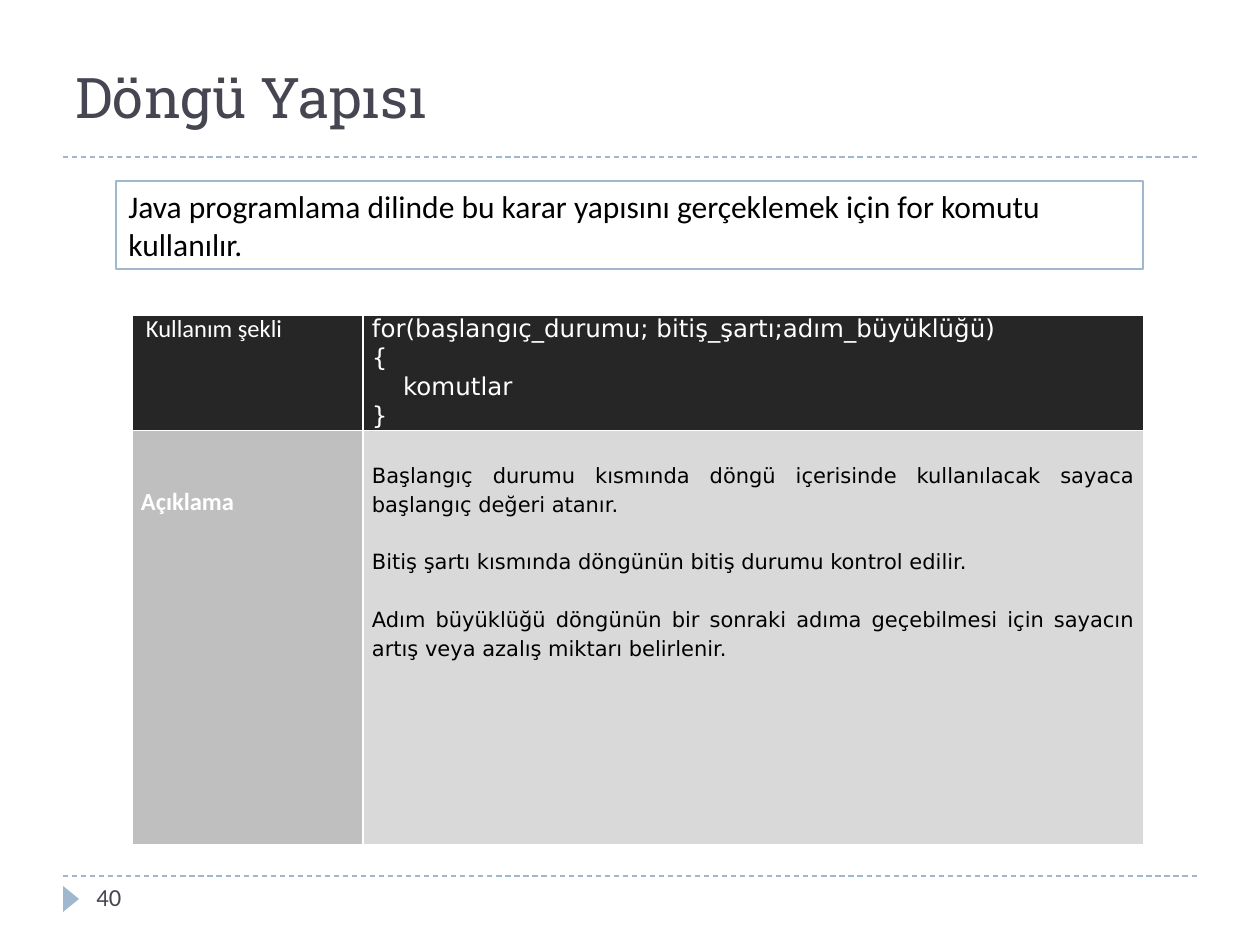
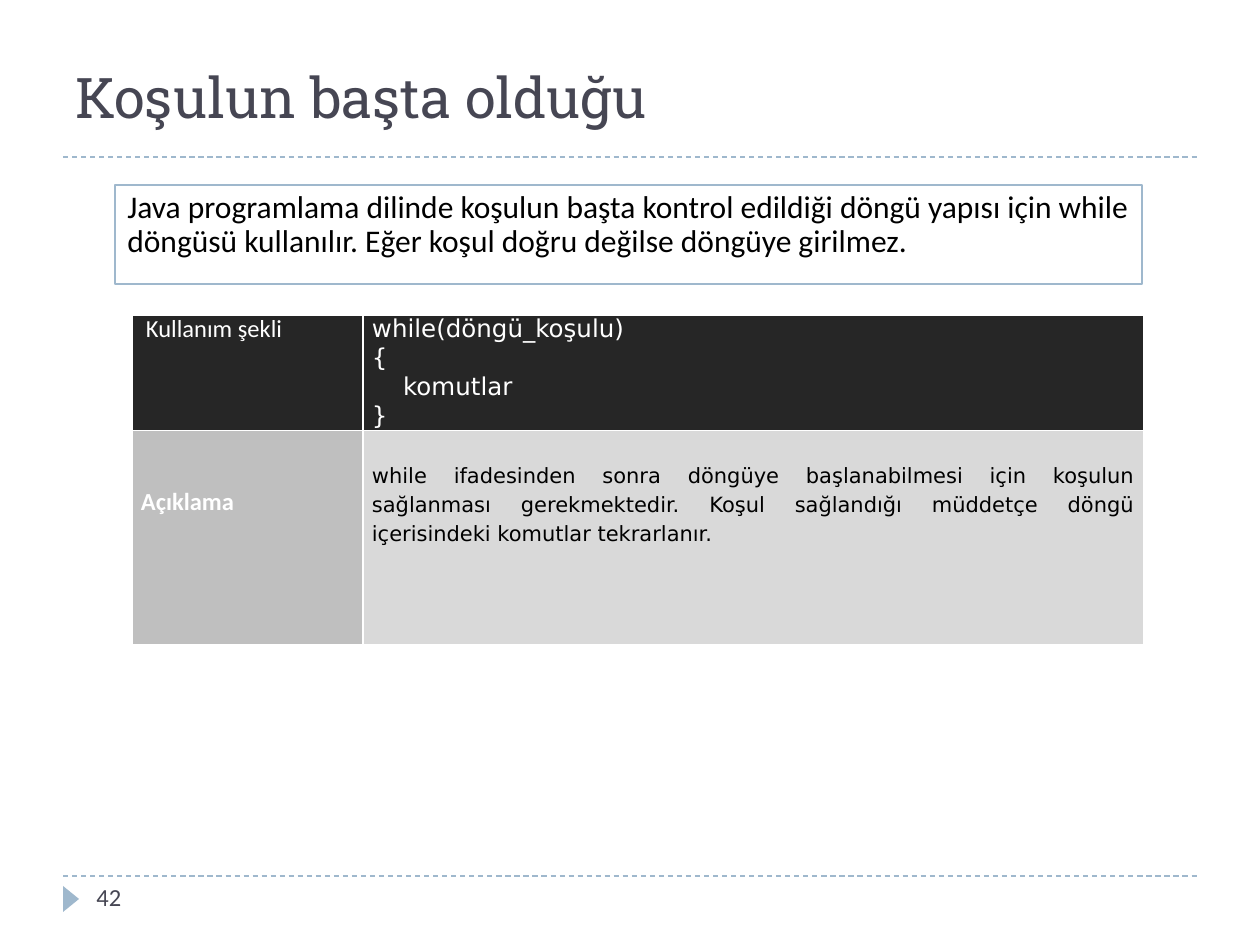
from lxml.etree import SubElement
from pptx import Presentation
from pptx.dml.color import RGBColor
from pptx.enum.dml import MSO_LINE
from pptx.enum.shapes import MSO_CONNECTOR, MSO_SHAPE
from pptx.enum.text import MSO_ANCHOR, MSO_AUTO_SIZE, PP_ALIGN
from pptx.oxml.ns import qn
from pptx.util import Emu, Pt

EMU_PER_PX = 914400 / 126
COLORS = {
    "accent": "9FB8CD",
    "heading": "464653",
    "white": "FFFFFF",
    "black": "000000",
    "usage": "262626",
    "label": "BFBFBF",
    "description": "D9D9D9",
}
FONTS = {
    "title": {"name": "Roboto Slab", "size": Pt(32), "bold": False},
    "number": {"name": "Calibri", "size": Pt(14)},
    "summary": {"name": "Calibri", "size": Pt(18)},
    "usage_label": {"name": "Calibri", "size": Pt(14), "bold": False},
    "description_label": {"name": "Calibri", "size": Pt(14), "bold": True},
    "code": {"name": "DejaVu Sans", "size": Pt(14), "bold": False},
    "description": {"name": "DejaVu Sans", "size": Pt(12), "bold": False},
}
TITLE_BOX = (63, 63, 1134, 73)
RULE_LEFT, RULE_RIGHT = 63, 1197
TITLE_RULE_Y, FOOTER_RULE_Y = 157, 876
TABLE_LEFT, TABLE_TOP = 132, 315
COLUMN_WIDTHS = (231, 781)
USAGE_HEIGHT = 115
CELL_INSET = 9
LINE_HEIGHT = Pt(16.5)
LINE_PX = 29


def px(length):
    return Emu(round(length * EMU_PER_PX))


def box(*lengths):
    return [px(length) for length in lengths]


def color(key):
    return RGBColor.from_string(COLORS[key])


def set_values(target, values):
    for name, value in values.items():
        setattr(target, name, value)


def write(frame, lines, font, font_color, **paragraph_values):
    """Fill a text frame with one paragraph per line."""
    frame.text = "\n".join(lines)
    for paragraph in frame.paragraphs:
        set_values(paragraph, paragraph_values)
        set_values(paragraph.font, FONTS[font])
        paragraph.font.color.rgb = color(font_color)


def add_rule(slide, y):
    rule = slide.shapes.add_connector(
        MSO_CONNECTOR.STRAIGHT, *box(RULE_LEFT, y, RULE_RIGHT, y))
    set_values(rule.line, {"width": Pt(0.75), "dash_style": MSO_LINE.DASH})
    rule.line.color.rgb = color("accent")
    SubElement(rule._element.spPr, qn("a:effectLst"))


def add_title(slide, title_text):
    title = slide.shapes.title
    left, top, width, height = box(*TITLE_BOX)
    set_values(title, {"left": left, "top": top, "width": width, "height": height})
    set_values(title.text_frame, {
        "auto_size": MSO_AUTO_SIZE.NONE, "vertical_anchor": MSO_ANCHOR.BOTTOM})
    write(title.text_frame, [title_text], "title", "heading", alignment=PP_ALIGN.LEFT)
    add_rule(slide, TITLE_RULE_Y)


def add_footer(slide, number):
    add_rule(slide, FOOTER_RULE_Y)
    marker = slide.shapes.add_shape(
        MSO_SHAPE.ISOSCELES_TRIANGLE, *box(58, FOOTER_RULE_Y + 15, 26, 16))
    marker.rotation = 90
    marker.shadow.inherit = False
    marker.fill.solid()
    marker.fill.fore_color.rgb = color("accent")
    marker.line.fill.background()
    number_box = slide.shapes.add_textbox(*box(84, FOOTER_RULE_Y, 273, 50))
    number_box.text_frame.word_wrap = True
    write(number_box.text_frame, [str(number)], "number", "heading")


def add_summary(slide, summary, bounds, line_spacing):
    panel = slide.shapes.add_shape(MSO_SHAPE.ROUNDED_RECTANGLE, *box(*bounds))
    panel.adjustments[0] = 0
    panel.shadow.inherit = False
    panel.fill.solid()
    panel.fill.fore_color.rgb = color("white")
    panel.line.color.rgb = color("accent")
    panel.line.width = Pt(1.5)
    set_values(panel.text_frame, {"word_wrap": True, "vertical_anchor": MSO_ANCHOR.TOP})
    write(panel.text_frame, [summary], "summary", "black",
          alignment=PP_ALIGN.LEFT, line_spacing=line_spacing)


def format_cell(cell, fill, top=0, left=CELL_INSET):
    set_values(cell, {"margin_left": px(left), "margin_right": px(CELL_INSET),
                      "margin_top": px(top), "margin_bottom": 0})
    properties = cell._tc.get_or_add_tcPr()
    for side in ("lnL", "lnR", "lnT", "lnB"):
        border = SubElement(properties, qn(f"a:{side}"), w=str(Pt(1)))
        border_fill = SubElement(border, qn("a:solidFill"))
        SubElement(border_fill, qn("a:srgbClr"), val=COLORS["white"])
    cell.fill.solid()
    cell.fill.fore_color.rgb = color(fill)


def add_syntax_table(slide, header, descriptions, description_height):
    """Show how a loop is written above what its parts mean."""
    row_heights = (USAGE_HEIGHT, description_height)
    table = slide.shapes.add_table(2, 2, *box(
        TABLE_LEFT, TABLE_TOP, sum(COLUMN_WIDTHS), sum(row_heights))).table
    for column, width in zip(table.columns, COLUMN_WIDTHS):
        column.width = px(width)
    for row, height in zip(table.rows, row_heights):
        row.height = px(height)

    code = [header, "{", "    komutlar", "}"]
    cells = (
        (["Kullanım şekli"], "usage_label", "white", "usage", {"left": CELL_INSET + 5}),
        (code, "code", "white", "usage", {}),
        (["Açıklama"], "description_label", "white", "label", {"top": 2 * LINE_PX}),
        (descriptions, "description", "black", "description", {"top": LINE_PX}),
    )
    for cell, (lines, font, font_color, fill, insets) in zip(table.iter_cells(), cells):
        format_cell(cell, fill, **insets)
        write(cell.text_frame, lines, font, font_color,
              alignment=PP_ALIGN.JUSTIFY, line_spacing=LINE_HEIGHT)
    for paragraph in table.cell(1, 1).text_frame.paragraphs[1:]:
        paragraph.space_before = LINE_HEIGHT


def add_loop_slide(deck, title, number, summary, summary_bounds, summary_spacing,
                   header, descriptions, description_height):
    slide = deck.slides.add_slide(deck.slide_layouts.get_by_name("Title Only"))
    add_title(slide, title)
    add_footer(slide, number)
    add_summary(slide, summary, summary_bounds, summary_spacing)
    add_syntax_table(slide, header, descriptions, description_height)


LOOPS = [
    {
        "title": "Döngü Yapısı",
        "number": 40,
        "summary": "Java programlama dilinde bu karar yapısını gerçeklemek için "
                   "for komutu kullanılır.",
        "summary_bounds": (116, 181, 1027, 88),
        "summary_spacing": 1.0,
        "header": "for(başlangıç_durumu; bitiş_şartı;adım_büyüklüğü)",
        "descriptions": [
            "Başlangıç durumu kısmında döngü içerisinde kullanılacak sayaca "
            "başlangıç değeri atanır.",
            "Bitiş şartı kısmında döngünün bitiş durumu kontrol edilir.",
            "Adım büyüklüğü döngünün bir sonraki adıma geçebilmesi için sayacın "
            "artış veya azalış miktarı belirlenir.",
        ],
        "description_height": 414,
    },
    {
        "title": "Koşulun başta olduğu",
        "number": 42,
        "summary": "Java programlama dilinde koşulun başta kontrol edildiği döngü yapısı "
                   "için while döngüsü kullanılır. Eğer koşul doğru değilse döngüye "
                   "girilmez.",
        "summary_bounds": (115, 185, 1027, 99),
        "summary_spacing": 0.9,
        "header": "while(döngü_koşulu)",
        "descriptions": [
            "while ifadesinden sonra döngüye başlanabilmesi için koşulun sağlanması "
            "gerekmektedir. Koşul sağlandığı müddetçe döngü içerisindeki komutlar "
            "tekrarlanır.",
        ],
        "description_height": 214,
    },
]


def main():
    deck = Presentation()
    deck.slide_width, deck.slide_height = box(1260, 945)
    for loop in LOOPS:
        add_loop_slide(deck, **loop)
    deck.save("out.pptx")


if __name__ == "__main__":
    main()
